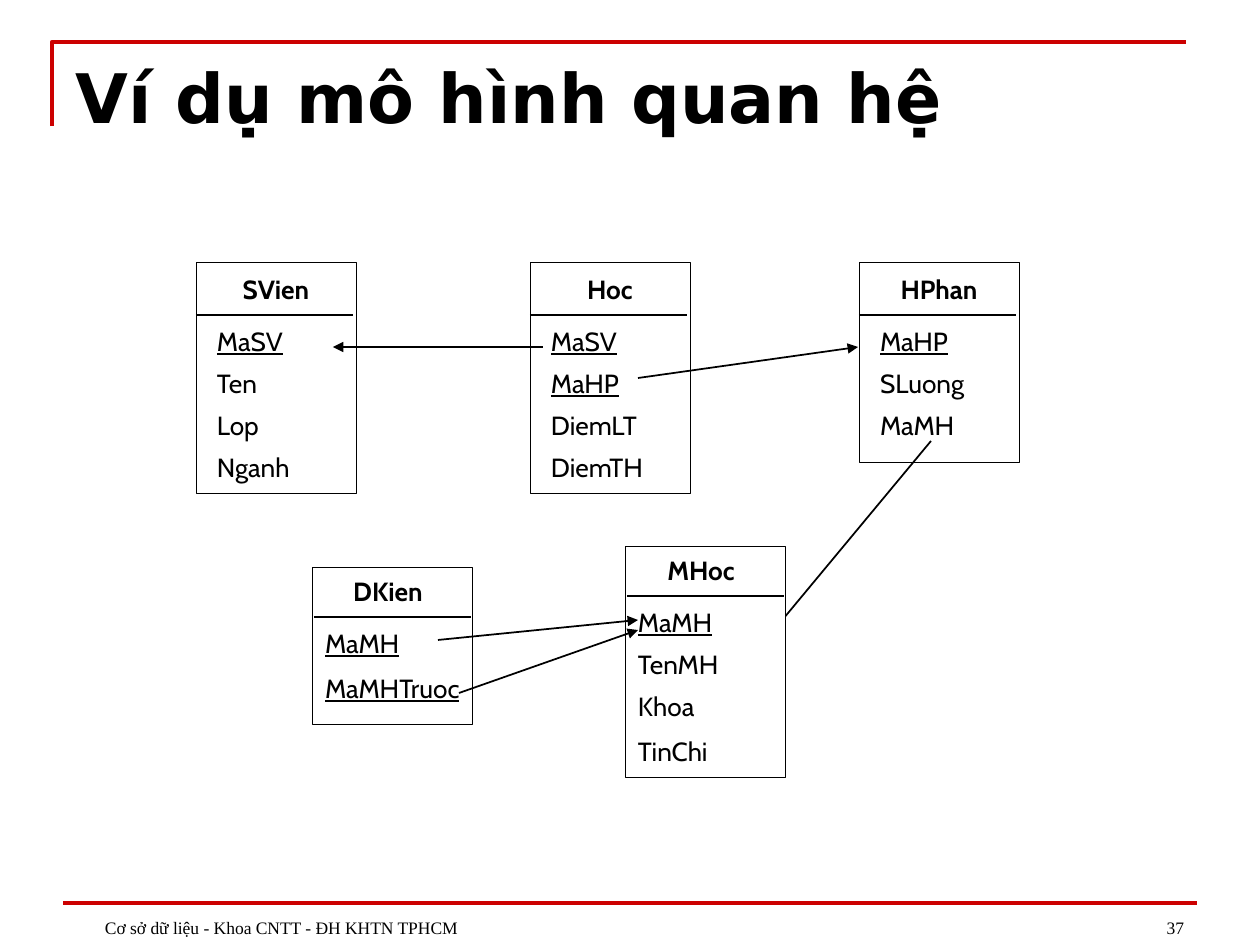
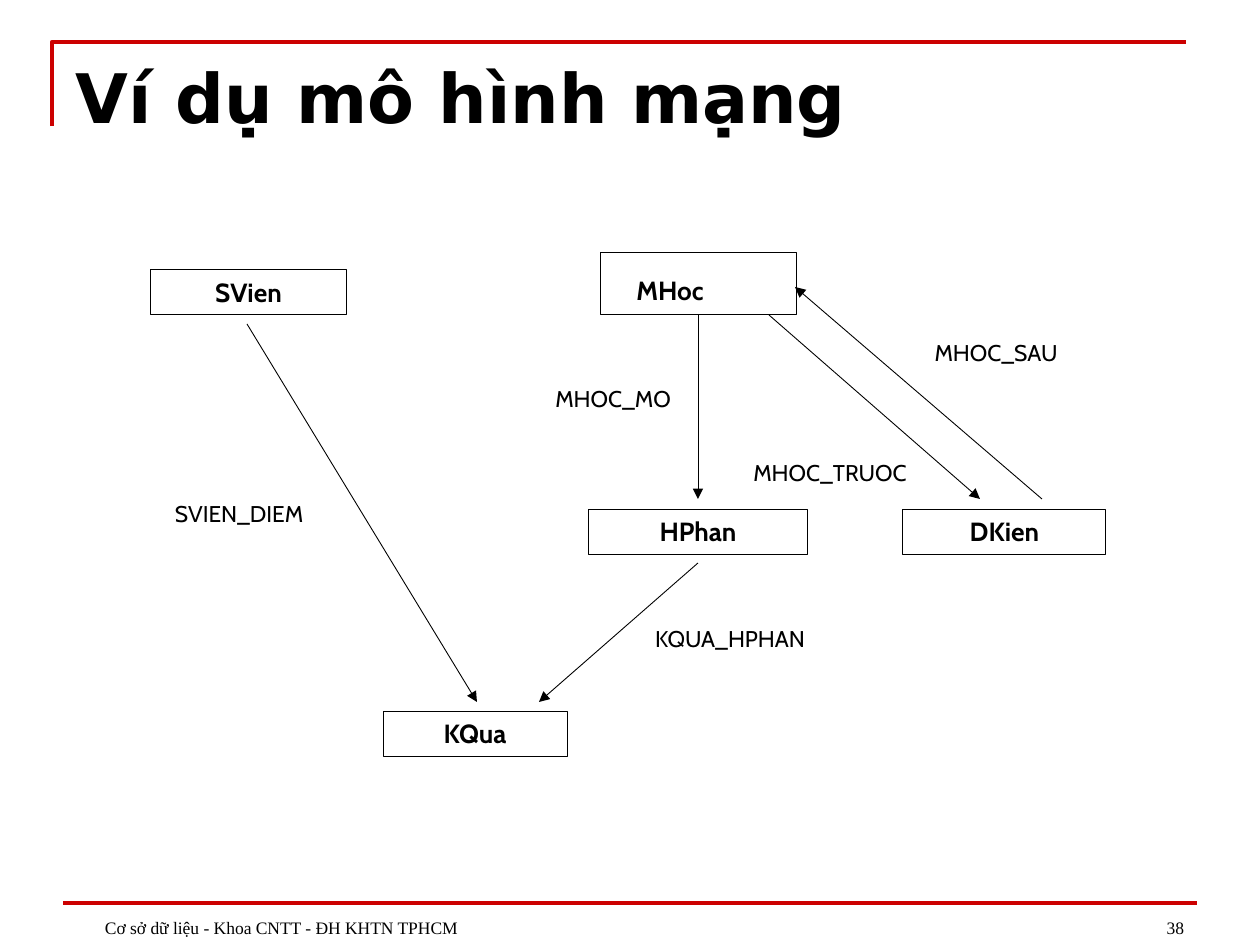
from collections import namedtuple

from lxml import etree
from pptx import Presentation
from pptx import util as u
from pptx.dml.color import RGBColor
from pptx.enum import shapes, text
from pptx.oxml.ns import qn

PX = 914400 / 126  # EMU per px
RED = RGBColor(0xCC, 0x00, 0x00)
BLACK = RGBColor(0x00, 0x00, 0x00)
WHITE = RGBColor(0xFF, 0xFF, 0xFF)
TITLE_FONT, BODY_FONT, FOOTER_FONT = "DejaVu Sans", "Cabin", "Times New Roman"
FOOTER = "Cơ sở dữ liệu - Khoa CNTT - ĐH KHTN TPHCM"
LEFT, CENTER, RIGHT = text.PP_ALIGN.LEFT, text.PP_ALIGN.CENTER, text.PP_ALIGN.RIGHT
TOP, MIDDLE, BOTTOM = text.MSO_ANCHOR.TOP, text.MSO_ANCHOR.MIDDLE, text.MSO_ANCHOR.BOTTOM
INSETS = (13, 6, 13, 6)  # left, top, right, bottom
FLUSH = (0, 0, 0, 0)

# Offsets inside a relation box, measured from its top left corner
Layout = namedtuple("Layout", "name_center name_y rule_x rule_y field_x last_step")
UPPER = Layout(80, 11, 0, 53, 21, 42)
LOWER = Layout(76, 8, 2, 50, 13, 45)
RELATION_W, NAME_W, RULE_W, FIELD_W = 160, 136, 157, 147
TEXT_H, FIELD_STEP, RULE_TO_FIELD = 32, 42, 10


def px(*lengths):
    return [u.Emu(round(length * PX)) for length in lengths]


def write(shape, words, size, font=BODY_FONT, align=LEFT, anchor=TOP,
          insets=INSETS, wrap=True, bold=False, underline=False):
    frame = shape.text_frame
    frame.word_wrap = wrap
    frame.vertical_anchor = anchor
    (frame.margin_left, frame.margin_top,
     frame.margin_right, frame.margin_bottom) = px(*insets)
    line = frame.paragraphs[0]
    line.text = words
    line.alignment = align
    line.font.name = font
    line.font.size = u.Pt(size)
    line.font.bold = bold
    line.font.underline = underline
    line.font.color.rgb = BLACK


def add_label(slide, box, words, size, **style):
    write(slide.shapes.add_textbox(*px(*box)), words, size, **style)


def add_box(slide, box, weight, fill=None):
    rect = slide.shapes.add_shape(shapes.MSO_SHAPE.RECTANGLE, *px(*box))
    rect.shadow.inherit = False
    if fill is None:
        rect.fill.background()
    else:
        rect.fill.solid()
        rect.fill.fore_color.rgb = fill
    rect.line.color.rgb = BLACK
    rect.line.width = u.Pt(weight)
    return rect


def add_line(slide, ends, weight, color=BLACK, arrow=False):
    line = slide.shapes.add_connector(shapes.MSO_CONNECTOR.STRAIGHT, *px(*ends))
    line.line.color.rgb = color
    line.line.width = u.Pt(weight)
    if arrow:
        etree.SubElement(line.line._get_or_add_ln(), qn("a:tailEnd"), type="triangle")
    etree.SubElement(line._element.spPr, qn("a:effectLst"))


def add_page(deck, title, number):
    slide = deck.slides.add_slide(deck.slide_layouts[6])
    # Red corner and footer rule
    outline = slide.shapes.build_freeform(52, 126, scale=PX)
    outline.add_line_segments([(52, 42), (1186, 42)], close=False)
    corner = outline.convert_to_shape()
    corner.shadow.inherit = False
    corner.fill.background()
    corner.line.color.rgb = RED
    corner.line.width = u.Pt(2.5)
    add_line(slide, (63, 903, 1197, 903), 2, RED)
    # Title, footer and page number
    add_label(slide, (63, 49, 1134, 108), title, 39, font=TITLE_FONT, bold=True)
    footer_style = dict(font=FOOTER_FONT, anchor=BOTTOM)
    add_label(slide, (903, 881, 294, 63), str(number), 10, align=RIGHT, **footer_style)
    add_label(slide, (63, 881, 766, 63), FOOTER, 10, insets=(42, 6, 13, 6), **footer_style)
    return slide


def add_relation(slide, name, x, y, height, layout, keys, others=()):
    add_box(slide, (x, y, RELATION_W, height), 0.25, WHITE)
    name_x = x + layout.name_center - NAME_W / 2
    add_label(slide, (name_x, y + layout.name_y, NAME_W, TEXT_H), name, 15,
              align=CENTER, insets=FLUSH, bold=True)
    rule_x, rule_y = x + layout.rule_x, y + layout.rule_y
    add_line(slide, (rule_x, rule_y, rule_x + RULE_W, rule_y), 1)
    # Key fields come first and are underlined
    fields = [*keys, *others]
    for row, field in enumerate(fields):
        field_y = rule_y + RULE_TO_FIELD + row * FIELD_STEP
        if row == len(fields) - 1:
            field_y += layout.last_step - FIELD_STEP
        add_label(slide, (x + layout.field_x, field_y, FIELD_W, TEXT_H), field, 15,
                  insets=FLUSH, underline=row < len(keys))


def add_relational_model(deck):
    slide = add_page(deck, "Ví dụ mô hình quan hệ", 37)
    # Upper relations
    add_relation(slide, "SVien", 196, 262, 231, UPPER, ["MaSV"], ["Ten", "Lop", "Nganh"])
    add_relation(slide, "Hoc", 530, 262, 231, UPPER, ["MaSV", "MaHP"], ["DiemLT", "DiemTH"])
    add_relation(slide, "HPhan", 859, 262, 200, UPPER, ["MaHP"], ["SLuong", "MaMH"])
    for reference in [(543, 347, 333, 347), (638, 378, 858, 347), (931, 441, 774, 630)]:
        add_line(slide, reference, 1, arrow=True)
    # Lower relations cover the end of the last reference
    add_relation(slide, "MHoc", 625, 546, 231, LOWER, ["MaMH"], ["TenMH", "Khoa", "TinChi"])
    add_relation(slide, "DKien", 312, 567, 157, LOWER, ["MaMH", "MaMHTruoc"])
    for reference in [(438, 640, 638, 620), (459, 693, 638, 630)]:
        add_line(slide, reference, 1, arrow=True)


def add_network_model(deck):
    slide = add_page(deck, "Ví dụ mô hình mạng", 38)
    # Record types; MHoc has its name off centre
    records = [
        ("SVien", (150, 269, 197, 45), INSETS),
        ("MHoc", (600, 252, 197, 63), (13, 20, 70, 6)),
        ("HPhan", (588, 509, 220, 45), INSETS),
        ("KQua", (383, 711, 184, 45), INSETS),
        ("DKien", (903, 509, 203, 45), INSETS),
    ]
    for name, box, insets in records:
        write(add_box(slide, box, 0.5), name, 15, align=CENTER, anchor=MIDDLE,
              insets=insets, bold=True)
    # Set types: arrow and label, with room to spare around the words
    sets = [
        ("SVIEN_DIEM", (247, 324, 477, 702), (149, 494, 180, 40)),
        ("MHOC_MO", (698, 315, 698, 499), (533, 379, 160, 40)),
        ("KQUA_HPHAN", (698, 563, 539, 702), (630, 619, 200, 40)),
        ("MHOC_TRUOC", (769, 315, 980, 499), (730, 453, 200, 40)),
        ("MHOC_SAU", (1042, 499, 795, 287), (911, 333, 170, 40)),
    ]
    for name, ends, box in sets:
        add_line(slide, ends, 0.5, arrow=True)
        add_label(slide, box, name, 13, align=CENTER, wrap=False)


def main():
    deck = Presentation()
    deck.slide_width, deck.slide_height = px(1260, 945)
    add_relational_model(deck)
    add_network_model(deck)
    deck.save("out.pptx")


if __name__ == "__main__":
    main()
